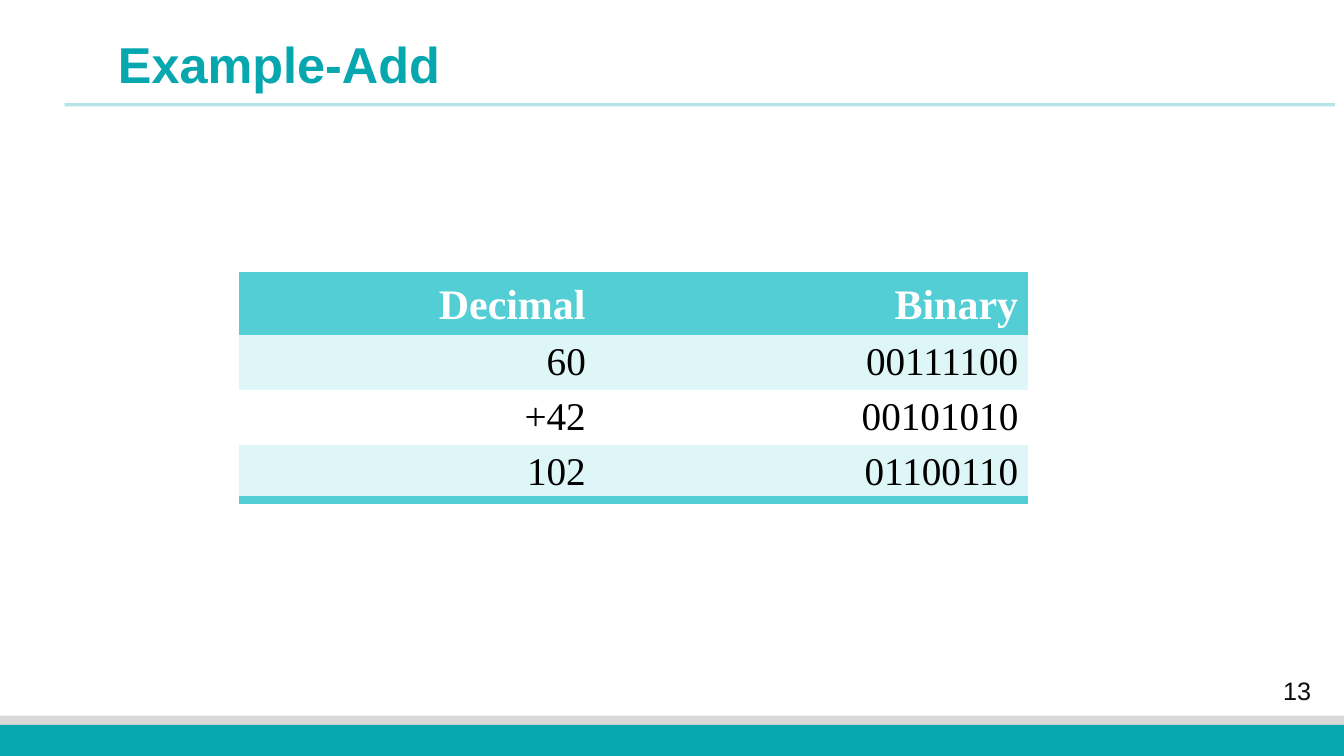
import pptx
import pptx.dml.color
import pptx.enum.shapes
import pptx.enum.text
import pptx.oxml
import pptx.oxml.ns
import pptx.util
from lxml import etree

RGBColor = pptx.dml.color.RGBColor
Inches = pptx.util.Inches
Pt = pptx.util.Pt
Align = pptx.enum.text.PP_ALIGN
Anchor = pptx.enum.text.MSO_ANCHOR
qn = pptx.oxml.ns.qn

TEAL = RGBColor(0x07, 0xA7, 0xAF)
AQUA = RGBColor(0x53, 0xCE, 0xD5)
PALE_AQUA = RGBColor(0xDE, 0xF6, 0xF7)
GREY = RGBColor(0xD9, 0xD9, 0xD9)
INK = RGBColor(0x0D, 0x0D, 0x0D)
BLACK = RGBColor(0, 0, 0)
WHITE = RGBColor(0xFF, 0xFF, 0xFF)

SLIDE_WIDTH, SLIDE_HEIGHT = 13.33, 7.5
NO_GRID_STYLE = "{2D5ABB26-0587-4C30-8999-92F81FD0307C}"
ADDITION = [
    ("Decimal", "Binary"),
    ("60", "00111100"),
    ("+42", "00101010"),
    ("102", "01100110"),
]


def format_text(paragraph, font_name, size, color, bold, alignment):
    paragraph.alignment = alignment
    for span in paragraph.runs:
        span.font.name = font_name
        span.font.size = Pt(size)
        span.font.color.rgb = color
        span.font.bold = bold


def add_footer(page, height):
    """Place a grey strip topped over by a teal band along the slide's bottom."""
    for color, share in ((GREY, 1), (TEAL, 0.77)):
        band_height = height * share
        band = page.shapes.add_shape(
            pptx.enum.shapes.MSO_SHAPE.RECTANGLE,
            0, Inches(SLIDE_HEIGHT - band_height),
            Inches(SLIDE_WIDTH), Inches(band_height))
        band.shadow.inherit = False
        band.fill.solid()
        band.fill.fore_color.rgb = color
        band.line.fill.background()


def add_title_rule(page, left, right, top):
    rule = page.shapes.add_connector(
        pptx.enum.shapes.MSO_CONNECTOR.STRAIGHT,
        Inches(left), Inches(top), Inches(right), Inches(top))
    rule.line.color.rgb = TEAL
    rule.line.width = Pt(2.25)
    color = rule.line._get_or_add_ln().find(".//" + qn("a:srgbClr"))
    etree.SubElement(color, qn("a:alpha"), val="30000")
    etree.SubElement(rule._element.spPr, qn("a:effectLst"))


def add_page_number(page, number, left, top, width, height):
    box = page.shapes.add_textbox(
        Inches(left), Inches(top), Inches(width), Inches(height))
    frame = box.text_frame
    frame.word_wrap = True
    frame.vertical_anchor = Anchor.MIDDLE
    frame.text = number
    format_text(frame.paragraphs[0], "Arial", 18, INK, False, Align.CENTER)


def set_title(page, text, left, top, width, height):
    title = page.shapes.title
    title.left, title.top = Inches(left), Inches(top)
    title.width, title.height = Inches(width), Inches(height)
    frame = title.text_frame
    frame.text = text
    frame.word_wrap = True
    frame.auto_size = pptx.enum.text.MSO_AUTO_SIZE.NONE
    frame.vertical_anchor = Anchor.TOP
    frame.paragraphs[0].line_spacing = 0.9
    format_text(frame.paragraphs[0], "Arial", 36, TEAL, True, Align.LEFT)


def add_border(cell, side, color, width):
    border = pptx.oxml.parse_xml(
        f'<a:{side} {pptx.oxml.ns.nsdecls("a")} w="{Pt(width)}">'
        f'<a:solidFill><a:srgbClr val="{color}"/></a:solidFill></a:{side}>')
    cell._tc.get_or_add_tcPr().insert(0, border)


def add_sum_table(page, rows, left, top, column_widths, row_height):
    table = page.shapes.add_table(
        len(rows), len(column_widths), Inches(left), Inches(top),
        Inches(sum(column_widths)), Inches(row_height * len(rows))).table
    table._tbl.tblPr.find(qn("a:tableStyleId")).text = NO_GRID_STYLE
    for column, width in zip(table.columns, column_widths):
        column.width = Inches(width)
    last = len(rows) - 1
    for row_index, values in enumerate(rows):
        is_header = row_index == 0
        fill = AQUA if is_header else PALE_AQUA if row_index % 2 else WHITE
        for column_index, value in enumerate(values):
            cell = table.cell(row_index, column_index)
            cell.text = value
            cell.vertical_anchor = Anchor.MIDDLE
            cell.margin_top = cell.margin_bottom = Inches(0.04)
            cell.fill.solid()
            cell.fill.fore_color.rgb = fill
            format_text(cell.text_frame.paragraphs[0], "Times New Roman",
                        30 if is_header else 28,
                        WHITE if is_header else BLACK, is_header, Align.RIGHT)
            if is_header:
                add_border(cell, "lnT", AQUA, 6)
            elif row_index == last:
                add_border(cell, "lnB", AQUA, 6)


def main():
    deck = pptx.Presentation()
    deck.slide_width = Inches(SLIDE_WIDTH)
    deck.slide_height = Inches(SLIDE_HEIGHT)
    page = deck.slides.add_slide(deck.slide_layouts.get_by_name("Title Only"))
    add_footer(page, 0.4)
    add_title_rule(page, 0.64, 13.24, 1.04)
    add_page_number(page, "13", 12.41, 6.65, 0.91, 0.39)
    set_title(page, "Example-Add", 1.07, 0.35, 11.37, 0.48)
    add_sum_table(page, ADDITION, 2.37, 2.74, (3.54, 4.29), 0.42)
    deck.save("out.pptx")


if __name__ == "__main__":
    main()
